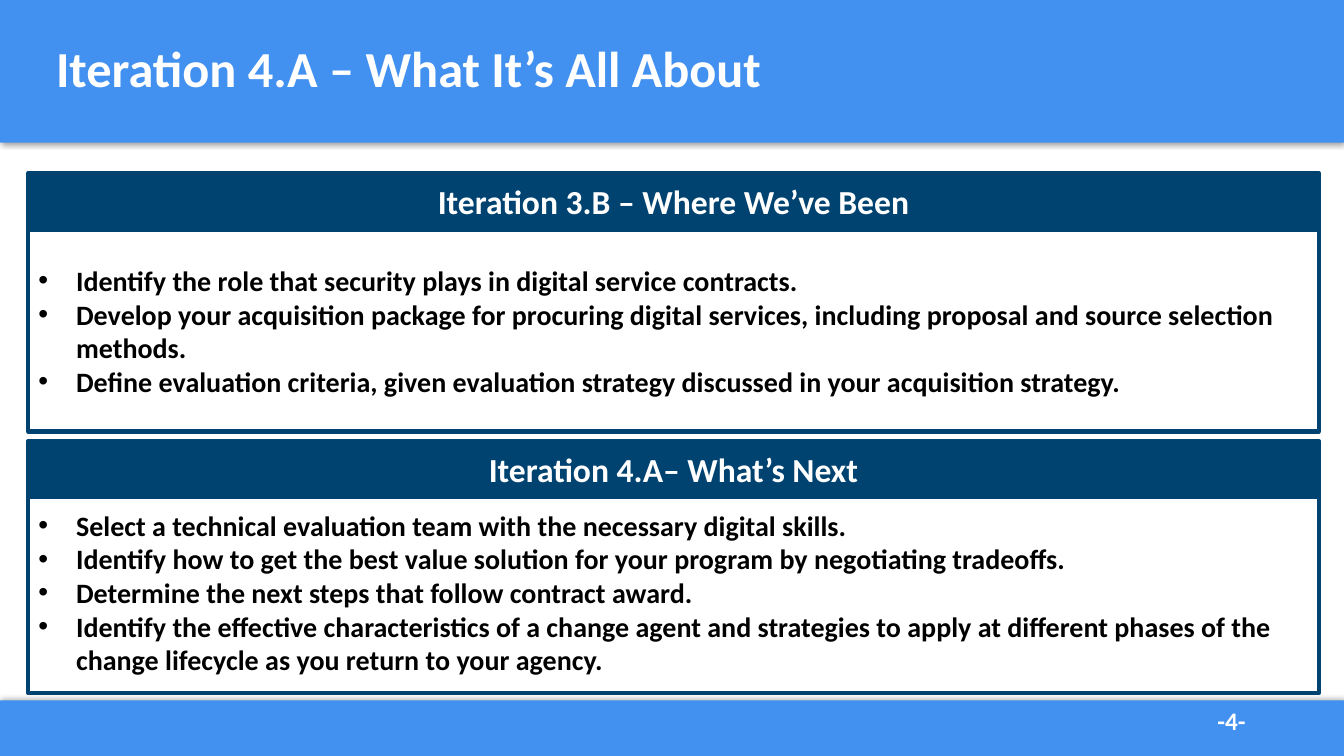
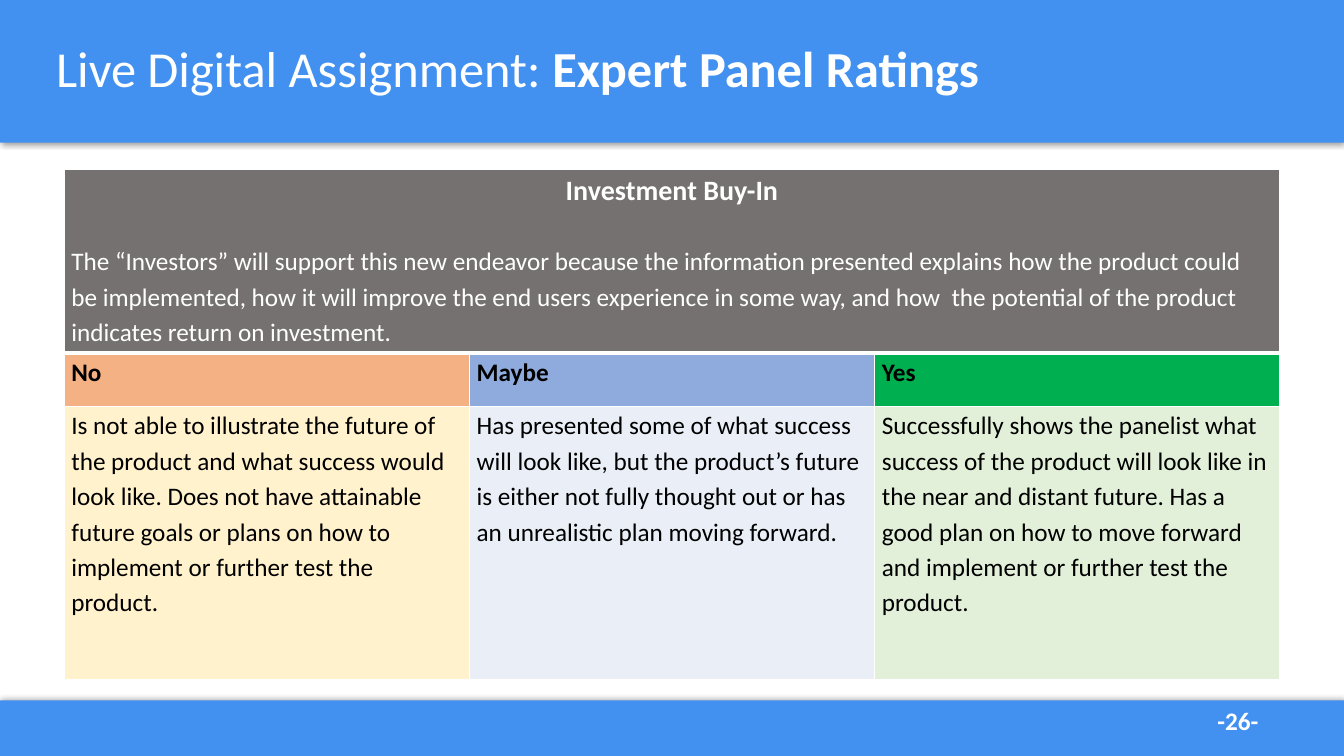
"""Build two course slides: an iteration overview and a panel rating table."""
from dataclasses import dataclass

from lxml import etree
from pptx import Presentation
from pptx.dml.color import RGBColor
from pptx.enum.shapes import MSO_SHAPE
from pptx.enum.text import MSO_ANCHOR, PP_ALIGN
from pptx.oxml import parse_xml
from pptx.oxml.ns import nsdecls, qn
from pptx.util import Pt

PX = 9525
RECT = MSO_SHAPE.RECTANGLE
MID, TOP = MSO_ANCHOR.MIDDLE, MSO_ANCHOR.TOP
LEFT, MIDST = PP_ALIGN.LEFT, PP_ALIGN.CENTER


@dataclass(frozen=True)
class Theme:
    font: str = "Calibri"
    band: str = "4291F0"
    navy: str = "004370"
    grey: str = "767171"
    white: str = "FFFFFF"
    black: str = "000000"
    title: int = 36
    head: int = 24
    item: int = 20
    body: int = 18


T = Theme()


def write(para, runs, size, tint, look):
    """Fill a paragraph with (text, bold) runs and set its format."""
    for key, val in look.items():
        setattr(para, key, val)
    for text, bold in runs:
        run = para.add_run()
        run.text = text
        for key, val in {"name": T.font, "size": Pt(size), "bold": bold}.items():
            setattr(run.font, key, val)
        run.font.color.rgb = RGBColor.from_string(tint)


def block(slide, spot, fill=None, line=None):
    """Add a rectangle at a px spot and return it."""
    shape = slide.shapes.add_shape(RECT, *[n * PX for n in spot])
    shape.shadow.inherit = False
    if fill:
        shape.fill.solid()
        shape.fill.fore_color.rgb = RGBColor.from_string(fill)
    else:
        shape.fill.background()
    if line:
        shape.line.color.rgb = RGBColor.from_string(line)
        shape.line.width = Pt(3)
    else:
        shape.line.fill.background()
    shape.text_frame.word_wrap = True
    shape.text_frame.vertical_anchor = MID
    return shape


deck = Presentation()
deck.slide_width, deck.slide_height = 1280 * PX, 720 * PX

pages = [
    ("-4-", [("Iteration 4.A – What It’s All About", True)]),
    ("-26-", [("Live Digital Assignment: ", False), ("Expert Panel Ratings", True)]),
]
bands = [((0, 667, 1280, 53), 270), ((0, 0, 1280, 136), 90)]

slides = []
for number, title in pages:
    slide = deck.slides.add_slide(deck.slide_layouts[6])
    slides.append(slide)
    for spot, angle in bands:
        band = block(slide, spot, T.band)
        effect = band._element.spPr.find(qn("a:effectLst"))
        effect.append(parse_xml(
            f'<a:outerShdw {nsdecls("a")} blurRad="{Pt(4)}" dist="{Pt(1)}" '
            f'dir="{angle * 60000}" algn="ctr" rotWithShape="0">'
            f'<a:srgbClr val="{T.black}"><a:alpha val="40000"/></a:srgbClr>'
            '</a:outerShdw>'))
    labels = [
        ((1150, 667, 94, 38), [(number, True)], T.body, TOP, {}),
        ((44, -2, 1192, 139), title, T.title, MID, {"line_spacing": 0.9}),
    ]
    for spot, runs, size, anchor, look in labels:
        frame = slide.shapes.add_textbox(*[n * PX for n in spot]).text_frame
        frame.word_wrap = True
        frame.vertical_anchor = anchor
        write(frame.paragraphs[0], runs, size, T.white, look)

about, rating = slides

panels = [
    (165, 219, "Iteration 3.B – Where We’ve Been", [
        "Identify the role that security plays in digital service contracts.",
        "Develop your acquisition package for procuring digital services, "
        "including proposal and source selection methods.",
        "Define evaluation criteria, given evaluation strategy discussed in "
        "your acquisition strategy.",
    ]),
    (420, 468, "Iteration 4.A– What’s Next", [
        "Select a technical evaluation team with the necessary digital skills.",
        "Identify how to get the best value solution for your program by "
        "negotiating tradeoffs.",
        "Determine the next steps that follow contract award.",
        "Identify the effective characteristics of a change agent and strategies "
        "to apply at different phases of the change lifecycle as you return to "
        "your agency.",
    ]),
]
for top, base, name, items in panels:
    head = block(about, (27, top, 1229, 53), T.navy, T.navy)
    write(head.text_frame.paragraphs[0], [(name, True)], T.head, T.white,
          {"alignment": MIDST})
    frame = block(about, (27, base, 1229, 192), line=T.navy).text_frame
    for i, item in enumerate(items):
        para = frame.add_paragraph() if i else frame.paragraphs[0]
        write(para, [(item, True)], T.item, T.black, {"alignment": LEFT})
        props = para._p.get_or_add_pPr()
        props.set("marL", str(36 * PX))
        props.set("indent", str(-36 * PX))
        etree.SubElement(props, qn("a:buFont"), typeface="Arial")
        etree.SubElement(props, qn("a:buChar"), char="•")

tight = {"line_spacing": 1.15}
loose = {**tight, "space_before": Pt(12), "space_after": Pt(12)}
rows = [175, 51, 260]
grades = [
    ("No", "F4B183", "FFF2CC",
     "Is not able to illustrate the future of the product and what success would "
     "look like. Does not have attainable future goals or plans on how to "
     "implement or further test the product."),
    ("Maybe", "8FAADC", "EAEFF7",
     "Has presented some of what success will look like, but the product’s future "
     "is either not fully thought out or has an unrealistic plan moving forward."),
    ("Yes", "00B050", "E2F0D9",
     "Successfully shows the panelist what success of the product will look like "
     "in the near and distant future. Has a good plan on how to move forward and "
     "implement or further test the product."),
]
spot = (61, 161, 386 * len(grades), sum(rows))
grid = rating.shapes.add_table(len(rows), len(grades), *[n * PX for n in spot]).table
grid.first_row = grid.horz_banding = False
for row, high in zip(grid.rows, rows):
    row.height = high * PX
for col in grid.columns:
    col.width = 386 * PX

fills = [[T.grey] * len(grades), [g[1] for g in grades], [g[2] for g in grades]]
for r, tints in enumerate(fills):
    for c, tint in enumerate(tints):
        cell = grid.cell(r, c)
        pads = {"margin_left": 7 * PX, "margin_right": 7 * PX,
                "margin_top": 0, "margin_bottom": 0}
        for key, val in pads.items():
            setattr(cell, key, val)
        props = cell._tc.get_or_add_tcPr()
        for side in "LRTB":
            wide = 3 if (r, side) in ((0, "B"), (1, "T")) else 1
            props.append(parse_xml(
                f'<a:ln{side} {nsdecls("a")} w="{Pt(wide)}"><a:solidFill>'
                f'<a:srgbClr val="{T.white}"/></a:solidFill></a:ln{side}>'))
        cell.fill.solid()
        cell.fill.fore_color.rgb = RGBColor.from_string(tint)

grid.cell(0, 0).merge(grid.cell(0, len(grades) - 1))
frame = grid.cell(0, 0).text_frame
write(frame.paragraphs[0], [("Investment Buy-In", True)], T.item, T.white,
      {**loose, "alignment": MIDST})
pitch = (
    "The “Investors” will support this new endeavor because the information "
    "presented explains how the product could be implemented, how it will improve "
    "the end users experience in some way, and how  the potential of the product "
    "indicates return on investment.")
write(frame.add_paragraph(), [(pitch, False)], T.body, T.white, loose)
for c, (grade, _, _, text) in enumerate(grades):
    write(grid.cell(1, c).text_frame.paragraphs[0], [(grade, True)], T.body,
          T.black, tight)
    write(grid.cell(2, c).text_frame.paragraphs[0], [(text, False)], T.body,
          T.black, loose)

deck.save("out.pptx")
